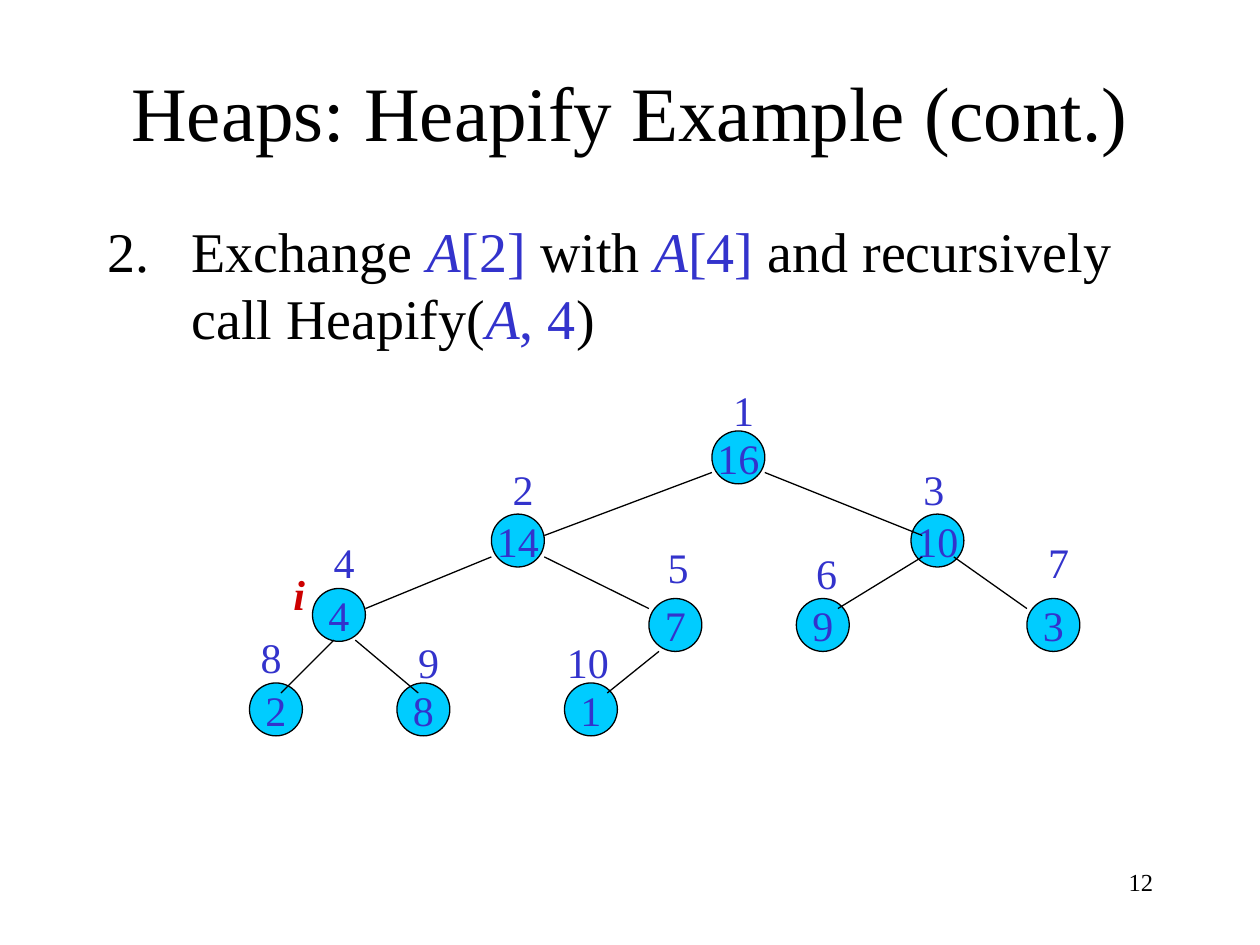
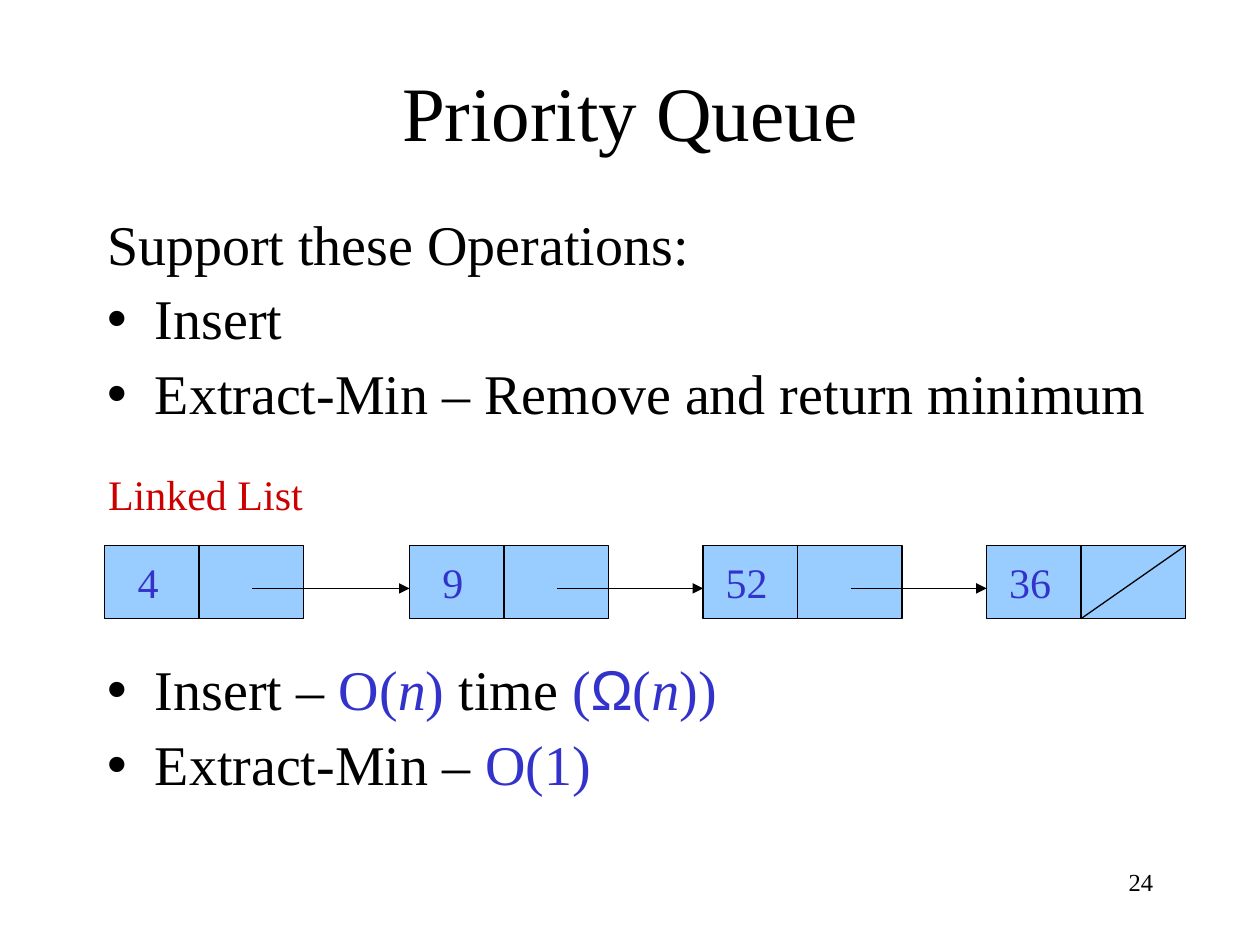
"""Build two lecture slides: a heapify step and a linked-list priority queue."""
import pptx
import pptx.dml.color
import pptx.enum.shapes
import pptx.enum.text
import pptx.oxml
import pptx.oxml.ns
import pptx.util
from lxml import etree

Inches = pptx.util.Inches
Pt = pptx.util.Pt
Align = pptx.enum.text.PP_ALIGN
Anchor = pptx.enum.text.MSO_ANCHOR
AutoSize = pptx.enum.text.MSO_AUTO_SIZE
Shape = pptx.enum.shapes.MSO_SHAPE
qn = pptx.oxml.ns.qn

BLACK = pptx.dml.color.RGBColor(0x00, 0x00, 0x00)
BLUE = pptx.dml.color.RGBColor(0x33, 0x33, 0xCC)
RED = pptx.dml.color.RGBColor(0xCD, 0x00, 0x00)
NODE_FILL = pptx.dml.color.RGBColor(0x00, 0xCC, 0xFF)
CELL_FILL = pptx.dml.color.RGBColor(0x99, 0xCC, 0xFF)

FONT = "Times New Roman"
BULLET = ("a:buChar", {"char": "•"})
PLAIN = ("a:buNone", {})
SECOND = ("a:buAutoNum", {"type": "arabicPeriod", "startAt": "2"})

NODE_SIZE = 0.42
NODES = [
    (16, 5.65, 3.42), (14, 3.9, 4.08), (10, 7.23, 4.08), (4, 2.48, 4.67),
    (7, 5.15, 4.75), (9, 6.32, 4.75), (3, 8.15, 4.75), (2, 1.98, 5.42),
    (8, 3.15, 5.42), (1, 4.48, 5.42),
]
INDEX_PLACES = [
    (5.72, 3), (3.97, 3.63), (7.23, 3.63), (2.55, 4.21), (5.2, 4.25),
    (6.38, 4.3), (8.22, 4.21), (1.97, 4.96), (3.22, 5), (4.4, 5),
]
EDGES = [
    (5.65, 3.75, 4.32, 4.25), (6.07, 3.75, 7.32, 4.25), (3.9, 4.42, 2.9, 4.83),
    (4.32, 4.42, 5.15, 4.83), (7.32, 4.42, 6.65, 4.83), (7.57, 4.42, 8.15, 4.83),
    (2.65, 5.08, 2.23, 5.5), (2.82, 5.08, 3.32, 5.5), (5.23, 5.17, 4.82, 5.5),
]

CELLS = [(4, 0.83), (9, 3.25), (52, 5.58), (36, 7.83)]
CELL_TOP, CELL_WIDTH, CELL_HEIGHT = 4.33, 1.58, 0.58
DIVIDER, POINTER = 0.75, 1.17


class Lecture:
    """Hold the deck, its style and the current slide."""

    def __init__(self):
        self.deck = pptx.Presentation()
        self.deck.slide_width = Inches(10)
        self.deck.slide_height = Inches(7.5)
        self.page = None

    def style(self, paragraph, size, color, bold=None, italic=None):
        """Set the font of a whole paragraph."""
        font = paragraph.font
        font.name, font.size, font.color.rgb = FONT, Pt(size), color
        font.bold, font.italic = bold, italic

    def place(self, shape, left, top, width, height):
        """Move and size a shape."""
        shape.left, shape.top = Inches(left), Inches(top)
        shape.width, shape.height = Inches(width), Inches(height)

    def new_page(self, title, number):
        """Start a slide with its title and number."""
        self.page = self.deck.slides.add_slide(self.deck.slide_layouts[1])
        box = self.page.shapes.title
        self.place(box, 0.75, 0.25, 8.5, 1.25)
        box.text_frame.text = title
        box.text_frame.auto_size = AutoSize.NONE
        box.text_frame.vertical_anchor = Anchor.MIDDLE
        paragraph = box.text_frame.paragraphs[0]
        paragraph.alignment = Align.CENTER
        self.style(paragraph, 44, BLACK)
        self.text(number, 7.17, 6.83, 2.08, size=14, color=BLACK, align=Align.RIGHT)

    def body(self, items, indent, line_spacing=1.0):
        """Fill the body with (marker, space before, spans) items."""
        box = self.page.placeholders[1]
        self.place(box, 0.75, 1.67, 8.5, 5)
        frame = box.text_frame
        frame.auto_size = AutoSize.NONE
        for position, (marker, space, spans) in enumerate(items):
            paragraph = frame.add_paragraph() if position else frame.paragraphs[0]
            paragraph.line_spacing = line_spacing
            paragraph.space_before = Pt(space)
            properties = paragraph._p.get_or_add_pPr()
            properties.set("marL", str(Inches(indent)))
            properties.set("indent", str(Inches(-indent)))
            tag, attributes = marker
            etree.SubElement(properties, qn(tag), attributes)
            self.style(paragraph, 32, BLACK)
            for words, *look in spans:
                self.span(paragraph, words, *look)

    def span(self, paragraph, words, color=None, italic=None, font=None):
        """Add a run that differs from its paragraph only where told."""
        run = paragraph.add_run()
        run.text = words
        if color is not None:
            run.font.color.rgb = color
        run.font.italic = italic
        run.font.name = font

    def text(self, words, left, top, width, size=24, color=BLUE, align=Align.LEFT,
             **look):
        """Add a one-line text box, fitted to its words unless right-aligned."""
        box = self.page.shapes.add_textbox(
            Inches(left), Inches(top), Inches(width), Inches(0.5))
        fixed = align == Align.RIGHT
        box.text_frame.word_wrap = fixed
        box.text_frame.auto_size = AutoSize.NONE if fixed else AutoSize.SHAPE_TO_FIT_TEXT
        paragraph = box.text_frame.paragraphs[0]
        paragraph.text = str(words)
        paragraph.alignment = align
        self.style(paragraph, size, color, **look)

    def shape(self, kind, words, left, top, width, height, fill):
        """Add an outlined shape with a centred value."""
        shape = self.page.shapes.add_shape(
            kind, Inches(left), Inches(top), Inches(width), Inches(height))
        shape.shadow.inherit = False
        shape.fill.solid()
        shape.fill.fore_color.rgb = fill
        shape.line.color.rgb = BLACK
        shape.line.width = Pt(0.75)
        frame = shape.text_frame
        frame.word_wrap = False
        frame.vertical_anchor = Anchor.MIDDLE
        paragraph = frame.paragraphs[0]
        paragraph.text = str(words)
        paragraph.alignment = Align.CENTER
        self.style(paragraph, 24, BLUE)
        return shape

    def line(self, start_x, start_y, end_x, end_y, arrow=False):
        """Add a thin line, with an arrowhead at its end if asked."""
        line = self.page.shapes.add_connector(
            pptx.enum.shapes.MSO_CONNECTOR.STRAIGHT,
            Inches(start_x), Inches(start_y), Inches(end_x), Inches(end_y))
        line.line.color.rgb = BLACK
        line.line.width = Pt(0.75)
        if arrow:
            etree.SubElement(line.line._get_or_add_ln(), qn("a:tailEnd"), type="triangle")
        etree.SubElement(line._element.spPr, qn("a:effectLst"))


def heapify_page(lecture):
    """Draw the heap after the exchange."""
    lecture.new_page("Heaps: Heapify Example (cont.)", 12)
    lecture.body([(SECOND, 0, [
        ("Exchange ",), ("A", BLUE, True), ("[2]", BLUE), (" with ",),
        ("A", BLUE, True), ("[4]", BLUE), (" and recursively call Heapify(",),
        ("A", BLUE, True), (", 4", BLUE), (")",),
    ])], indent=0.67)
    for value, left, top in NODES:
        lecture.shape(Shape.OVAL, value, left, top, NODE_SIZE, NODE_SIZE, NODE_FILL)
    for edge in EDGES:
        lecture.line(*edge)
    for index, (left, top) in enumerate(INDEX_PLACES, start=1):
        lecture.text(index, left, top, 0.36 if index < 10 else 0.53)
    lecture.text("i", 2.23, 4.46, 0.29, color=RED, bold=True, italic=True)


def queue_page(lecture):
    """Draw the priority queue kept as a linked list."""
    lecture.new_page("Priority Queue", 24)
    lecture.body([
        (PLAIN, 0, [("Support these Operations:",)]),
        (BULLET, 8, [("Insert",)]),
        (BULLET, 8, [("Extract-Min – Remove and return minimum",)]),
        (BULLET, 135, [
            ("Insert – ",), ("O(", BLUE), ("n", BLUE, True), (")", BLUE), (" time ",),
            ("(", BLUE), ("Ω", BLUE, None, "Arial"), ("(", BLUE), ("n", BLUE, True),
            ("))", BLUE),
        ]),
        (BULLET, 8, [("Extract-Min – ",), ("O(1)", BLUE)]),
    ], indent=0.38, line_spacing=0.9)
    lecture.text("Linked List", 0.76, 3.67, 1.76, color=RED)
    bottom = CELL_TOP + CELL_HEIGHT
    for value, left in CELLS:
        cell = lecture.shape(
            Shape.RECTANGLE, value, left, CELL_TOP, CELL_WIDTH, CELL_HEIGHT, CELL_FILL)
        cell.text_frame.word_wrap = True
        cell.text_frame.margin_left = 0
        cell.text_frame.margin_right = Inches(0.89)
        lecture.line(left + DIVIDER, CELL_TOP, left + DIVIDER, bottom)
    for (_, left), (_, following) in zip(CELLS, CELLS[1:]):
        lecture.line(left + POINTER, 4.67, following, 4.67, arrow=True)
    last = CELLS[-1][1]
    lecture.line(last + DIVIDER, bottom, last + CELL_WIDTH, CELL_TOP)


def main():
    """Build and save the deck."""
    lecture = Lecture()
    heapify_page(lecture)
    queue_page(lecture)
    lecture.deck.save("out.pptx")


if __name__ == "__main__":
    main()
